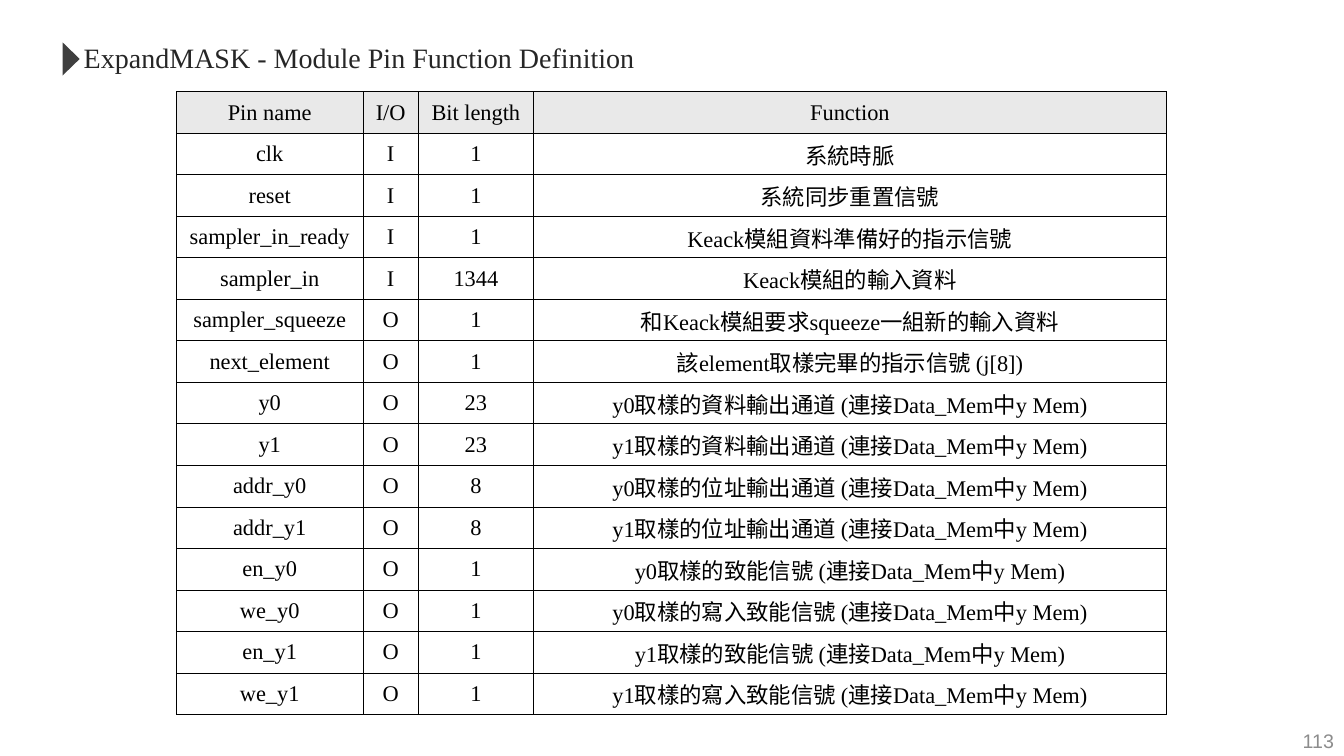
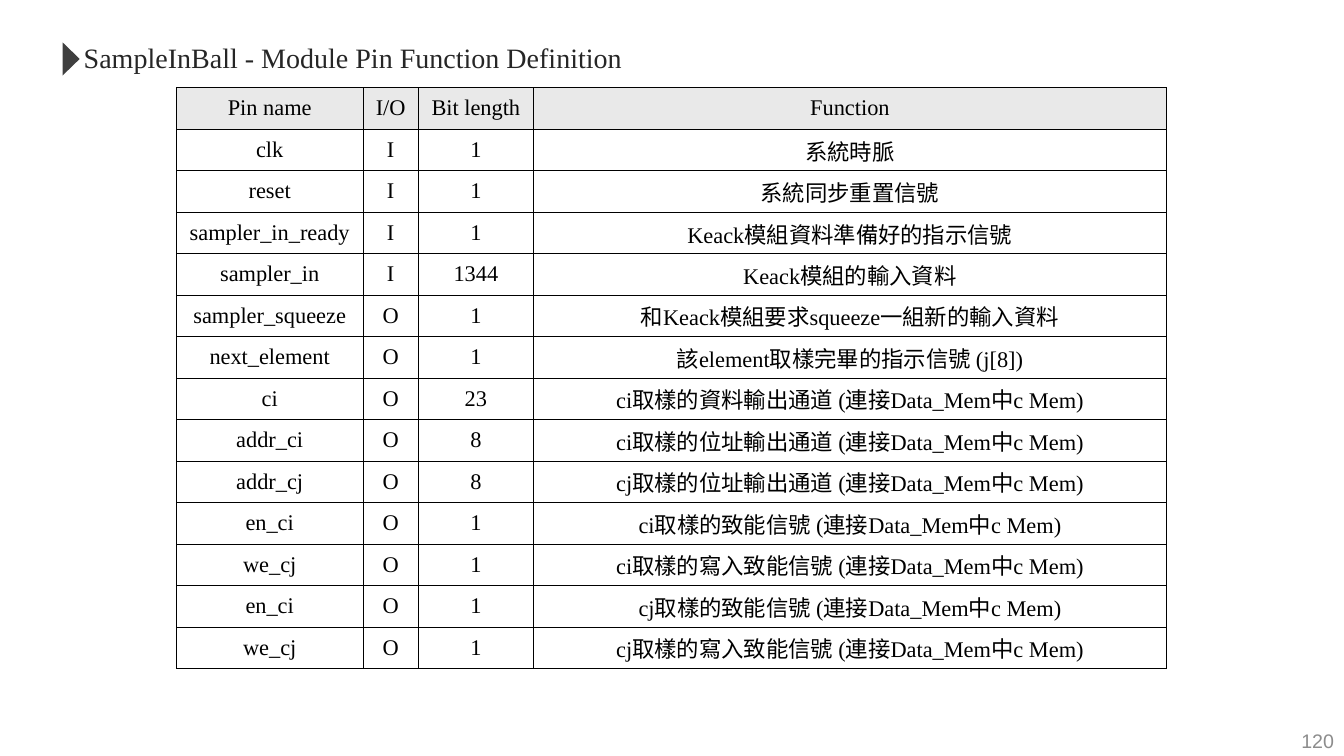
"""Build the pin definition slides of two sampler modules."""
from dataclasses import dataclass

from lxml import etree
from pptx import Presentation
from pptx.dml.color import RGBColor
from pptx.enum.shapes import MSO_SHAPE
from pptx.enum.text import MSO_ANCHOR, MSO_AUTO_SIZE, PP_ALIGN
from pptx.oxml.ns import qn
from pptx.util import Inches, Pt

TRIANGLE = MSO_SHAPE.ISOSCELES_TRIANGLE
TOP, MIDDLE = MSO_ANCHOR.TOP, MSO_ANCHOR.MIDDLE
LEFT, CENTER, RIGHT = PP_ALIGN.LEFT, PP_ALIGN.CENTER, PP_ALIGN.RIGHT
NO_AUTOFIT = MSO_AUTO_SIZE.NONE
TITLE_ONLY = 5


@dataclass(frozen=True)
class Theme:
    """Fonts, type sizes and colours shared by the slides."""
    serif: str = "Times New Roman"
    sans: str = "Arial"
    title_size: int = 20
    table_size: int = 16
    number_size: int = 14
    border_width: float = 0.5
    title: str = "262626"
    marker: str = "3F3F3F"
    number: str = "8C8C8C"
    text: str = "000000"
    border: str = "000000"
    header: str = "E9E9E9"
    body: str = "FFFFFF"


THEME = Theme()
COLUMN_WIDTHS = (1.85, 0.55, 1.14, 6.28)
HEADER = ("Pin name", "I/O", "Bit length", "Function")
COMMON_PINS = [
    ("clk", "I", "1", "系統時脈"),
    ("reset", "I", "1", "系統同步重置信號"),
    ("sampler_in_ready", "I", "1", "Keack模組資料準備好的指示信號"),
    ("sampler_in", "I", "1344", "Keack模組的輸入資料"),
    ("sampler_squeeze", "O", "1", "和Keack模組要求squeeze一組新的輸入資料"),
    ("next_element", "O", "1", "該element取樣完畢的指示信號 (j[8])"),
]
DATA, ADDRESS = "資料輸出通道", "位址輸出通道"
ENABLE, WRITE_ENABLE = "致能信號", "寫入致能信號"
MASK_PINS = [
    ("y0", "23", "y0", DATA),
    ("y1", "23", "y1", DATA),
    ("addr_y0", "8", "y0", ADDRESS),
    ("addr_y1", "8", "y1", ADDRESS),
    ("en_y0", "1", "y0", ENABLE),
    ("we_y0", "1", "y0", WRITE_ENABLE),
    ("en_y1", "1", "y1", ENABLE),
    ("we_y1", "1", "y1", WRITE_ENABLE),
]
BALL_PINS = [
    ("ci", "23", "ci", DATA),
    ("addr_ci", "8", "ci", ADDRESS),
    ("addr_cj", "8", "cj", ADDRESS),
    ("en_ci", "1", "ci", ENABLE),
    ("we_cj", "1", "ci", WRITE_ENABLE),
    ("en_ci", "1", "cj", ENABLE),
    ("we_cj", "1", "cj", WRITE_ENABLE),
]


def memory_rows(pins, memory):
    """Return the table rows of output pins wired to a data memory."""
    return [(name, "O", bits, f"{sample}取樣的{role} (連接Data_Mem中{memory} Mem)")
            for name, bits, sample, role in pins]


def write(tf, text, font, size, color, align, anchor):
    """Set one formatted paragraph in a text frame."""
    tf.text = text
    tf.vertical_anchor = anchor
    p = tf.paragraphs[0]
    p.alignment = align
    for r in p.runs:
        r.font.name = font
        r.font.size = Pt(size)
        r.font.bold = False
        r.font.color.rgb = RGBColor.from_string(color)


def add_title(s, text):
    """Place the title and the triangle marker before it."""
    sp = s.shapes.title
    sp.left, sp.top = Inches(0.73), Inches(0.35)
    sp.width, sp.height = Inches(5.7), Inches(0.44)
    tf = sp.text_frame
    tf.word_wrap = True
    tf.auto_size = NO_AUTOFIT
    write(tf, text, THEME.serif, THEME.title_size, THEME.title, LEFT, TOP)
    marker = s.shapes.add_shape(TRIANGLE, Inches(0.54), Inches(0.5),
                                Inches(0.33), Inches(0.17))
    marker.rotation = 90
    marker.shadow.inherit = False
    marker.fill.solid()
    marker.fill.fore_color.rgb = RGBColor.from_string(THEME.marker)
    marker.line.fill.background()


def add_number(s, number):
    """Add the page number in the bottom right corner."""
    sp = s.shapes.add_textbox(Inches(10.33), Inches(7.15), Inches(3), Inches(0.4))
    tf = sp.text_frame
    tf.word_wrap = True
    write(tf, number, THEME.sans, THEME.number_size, THEME.number, RIGHT, MIDDLE)


def set_borders(cell):
    """Draw a thin line on all four sides of a cell."""
    tc_pr = cell._tc.get_or_add_tcPr()
    for i, side in enumerate(("lnL", "lnR", "lnT", "lnB")):
        ln = etree.Element(qn(f"a:{side}"), w=str(Pt(THEME.border_width)))
        fill = etree.SubElement(ln, qn("a:solidFill"))
        etree.SubElement(fill, qn("a:srgbClr"), val=THEME.border)
        tc_pr.insert(i, ln)


def add_pin_table(s, rows, top, height):
    """Add the pin table with a header row and equal row heights."""
    rows = [HEADER, *rows]
    table = s.shapes.add_table(len(rows), len(HEADER), Inches(1.75), Inches(top),
                               Inches(sum(COLUMN_WIDTHS)), Inches(height)).table
    table.first_row = table.horz_banding = False
    for column, width in zip(table.columns, COLUMN_WIDTHS):
        column.width = Inches(width)
    for i, row in enumerate(rows):
        for j, text in enumerate(row):
            cell = table.cell(i, j)
            cell.vertical_anchor = MIDDLE
            cell.fill.solid()
            cell.fill.fore_color.rgb = RGBColor.from_string(
                THEME.body if i else THEME.header)
            set_borders(cell)
            write(cell.text_frame, text, THEME.serif, THEME.table_size,
                  THEME.text, CENTER, MIDDLE)


def add_module_slide(prs, module, number, rows, top, height):
    """Add the pin definition slide of one module."""
    s = prs.slides.add_slide(prs.slide_layouts[TITLE_ONLY])
    add_title(s, f"{module} - Module Pin Function Definition")
    add_number(s, number)
    add_pin_table(s, COMMON_PINS + rows, top, height)


def main():
    """Build and save the presentation."""
    prs = Presentation()
    prs.slide_width, prs.slide_height = Inches(13.33), Inches(7.5)
    add_module_slide(prs, "ExpandMASK", "113", memory_rows(MASK_PINS, "y"), 0.91, 6.18)
    add_module_slide(prs, "SampleInBall", "120", memory_rows(BALL_PINS, "c"), 0.87, 5.76)
    prs.save("out.pptx")


if __name__ == "__main__":
    main()
